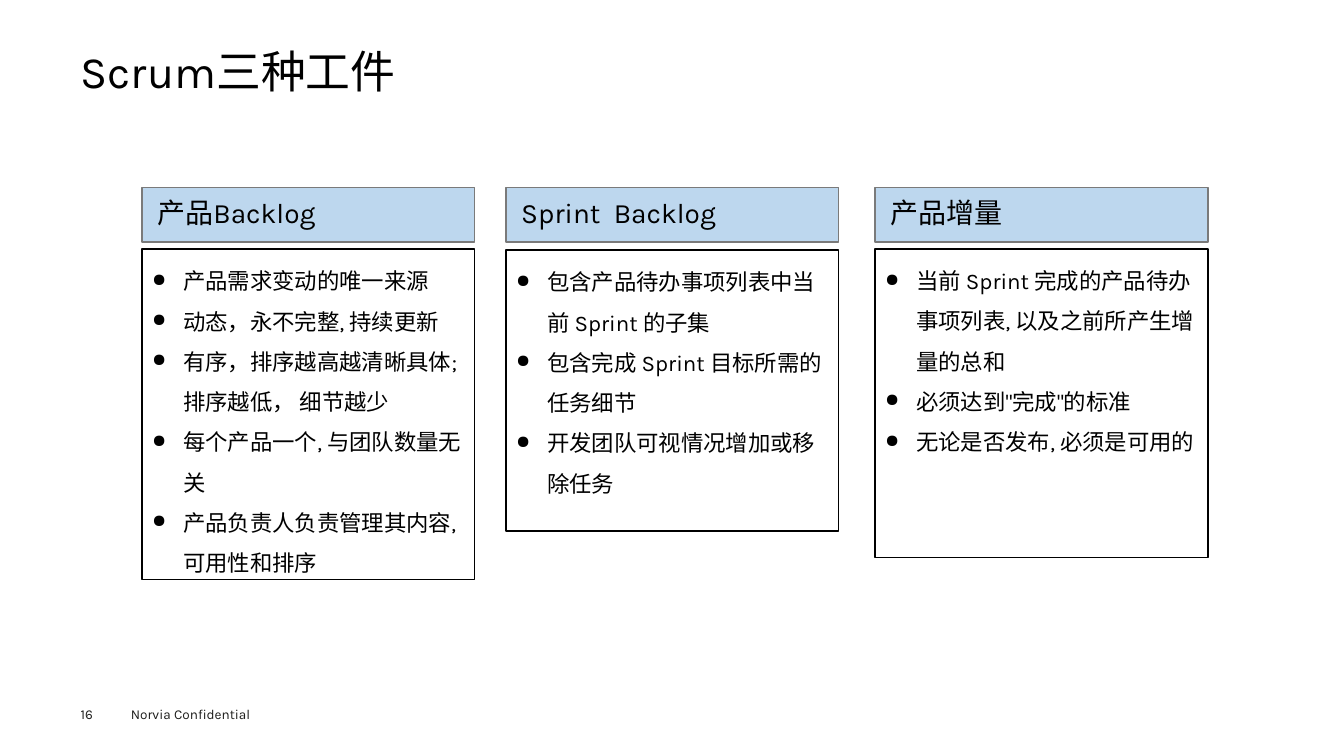
import pptx
import pptx.util
import pptx.dml.color
import pptx.enum.shapes
import pptx.enum.text
import lxml.etree
from pptx.oxml.ns import qn

Inches = pptx.util.Inches
Pt = pptx.util.Pt
RGBColor = pptx.dml.color.RGBColor
ANCHOR = pptx.enum.text.MSO_ANCHOR
FIT = pptx.enum.text.MSO_AUTO_SIZE

BLACK = RGBColor(0x00, 0x00, 0x00)
WHITE = RGBColor(0xFF, 0xFF, 0xFF)
INK = RGBColor(0x1D, 0x1D, 0x1B)
GRAY = RGBColor(0x7A, 0x7A, 0x7A)
PALE_BLUE = RGBColor(0xBD, 0xD7, 0xEE)

COLUMN_WIDTH = 3.3
HEADER_TOP, HEADER_HEIGHT = 1.86, 0.54

NO_MARGINS = dict.fromkeys(("margin_left", "margin_top", "margin_right", "margin_bottom"), 0)
TITLE_FRAME = {**NO_MARGINS, "vertical_anchor": ANCHOR.TOP, "auto_size": FIT.NONE}
FOOTER_FRAME = {"vertical_anchor": ANCHOR.TOP}
HEADER_FRAME = {
    "margin_left": Inches(0.15), "margin_right": Inches(0.15),
    "margin_top": Inches(0.12), "margin_bottom": Inches(0.12),
    "vertical_anchor": ANCHOR.MIDDLE,
}
DETAIL_FRAME = {"vertical_anchor": ANCHOR.TOP}


def write(frame, lines, frame_format, size, color, spacing=1.0, bulleted=False):
    for key, value in {"word_wrap": True, **frame_format}.items():
        setattr(frame, key, value)
    for index, line in enumerate(lines):
        paragraph = frame.add_paragraph() if index else frame.paragraphs[0]
        if bulleted:
            properties = paragraph._p.get_or_add_pPr()
            properties.set("marL", str(Inches(0.31)))
            properties.set("indent", str(-Inches(0.31)))
            lxml.etree.SubElement(properties, qn("a:buSzPct"), val="80000")
            lxml.etree.SubElement(properties, qn("a:buChar"), char="●")
        paragraph.alignment = pptx.enum.text.PP_ALIGN.LEFT
        paragraph.line_spacing = spacing
        run = paragraph.add_run()
        run.text = line
        for key, value in {"name": "Karla", "size": Pt(size)}.items():
            setattr(run.font, key, value)
        run.font.color.rgb = color


def add_panel(box, fill, line):
    panel = slide.shapes.add_shape(
        pptx.enum.shapes.MSO_SHAPE.RECTANGLE, *map(Inches, box))
    panel.shadow.inherit = False
    panel.fill.solid()
    panel.fill.fore_color.rgb = fill
    panel.line.color.rgb = line
    panel.line.width = Pt(1)
    return panel.text_frame


deck = pptx.Presentation()
deck.slide_width = Inches(13.33)
deck.slide_height = Inches(7.5)
slide = deck.slides.add_slide(deck.slide_layouts[5])

title = slide.shapes.title
title_place = {"left": 0.8, "top": 0.49, "width": 11.73, "height": 0.53}
for key, value in title_place.items():
    setattr(title, key, Inches(value))
write(title.text_frame, ["Scrum三种工件"], TITLE_FRAME, 32, BLACK, 0.9)

footers = [
    ("Norvia Confidential", (1.2, 6.95, 1.6, 0.27), FOOTER_FRAME),
    ("16", (0.8, 7, 0.55, 0.16), {**FOOTER_FRAME, **NO_MARGINS}),
]
for words, box, frame_format in footers:
    footer = slide.shapes.add_textbox(*map(Inches, box))
    write(footer.text_frame, [words], frame_format, 9.7, INK)

artifacts = [
    ("产品Backlog", 1.41, 2.47, 3.28, [
        "产品需求变动的唯一来源",
        "动态，永不完整, 持续更新",
        "有序，排序越高越清晰具体; 排序越低， 细节越少",
        "每个产品一个, 与团队数量无关",
        "产品负责人负责管理其内容, 可用性和排序",
    ]),
    ("Sprint  Backlog", 5.02, 2.48, 2.79, [
        "包含产品待办事项列表中当前 Sprint 的子集",
        "包含完成 Sprint 目标所需的任务细节",
        "开发团队可视情况增加或移除任务",
    ]),
    ("产品增量", 8.68, 2.47, 3.06, [
        "当前 Sprint 完成的产品待办事项列表, 以及之前所产生增量的总和",
        "必须达到\"完成\"的标准",
        "无论是否发布, 必须是可用的",
    ]),
]
for name, left, detail_top, detail_height, details in artifacts:
    header = add_panel((left, HEADER_TOP, COLUMN_WIDTH, HEADER_HEIGHT), PALE_BLUE, GRAY)
    write(header, [name], HEADER_FRAME, 20, BLACK, 0.9)
    detail = add_panel((left, detail_top, COLUMN_WIDTH, detail_height), WHITE, BLACK)
    write(detail, details, DETAIL_FRAME, 16, BLACK, 1.5, bulleted=True)

deck.save("out.pptx")
